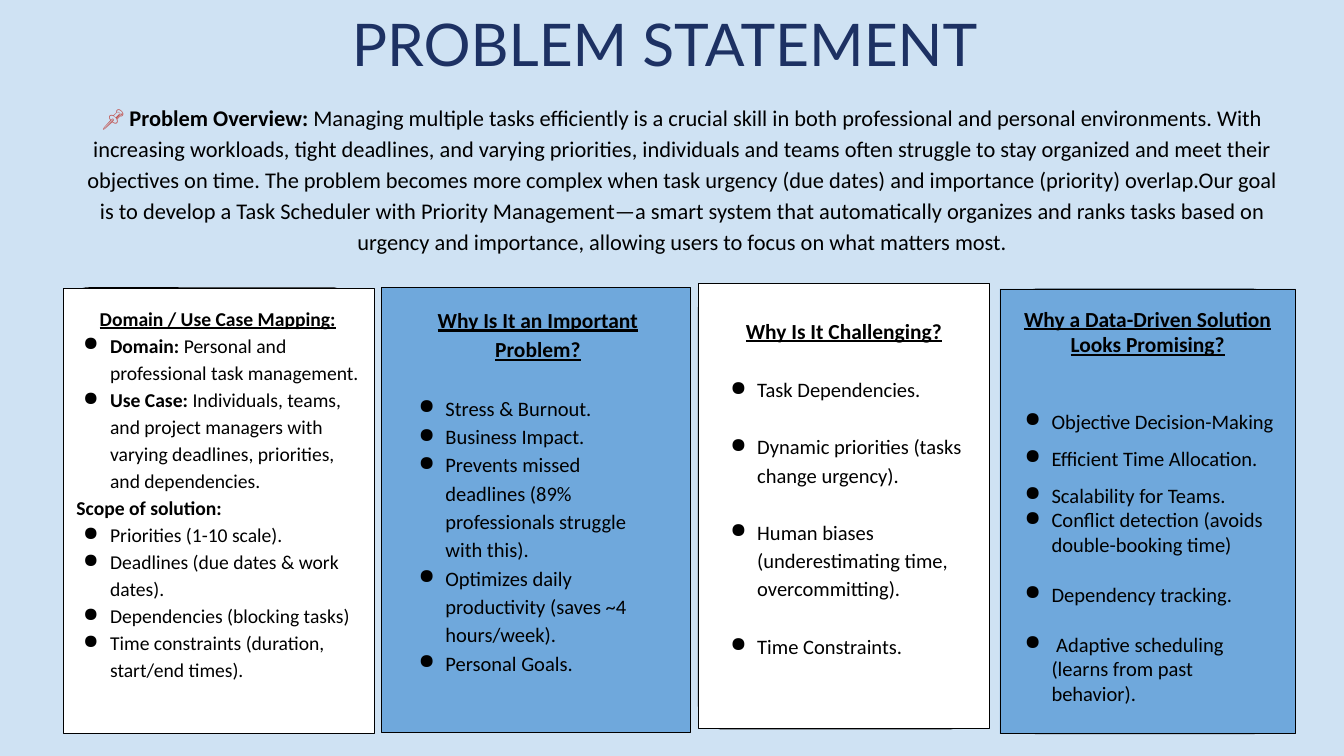
from dataclasses import dataclass

from lxml import etree
from pptx import Presentation
from pptx.dml.color import RGBColor
from pptx.enum import shapes, text
from pptx.oxml.ns import qn
from pptx.util import Inches, Pt

PALE_BLUE = RGBColor(0xCF, 0xE2, 0xF3)
BLUE = RGBColor(0x6F, 0xA8, 0xDC)
NAVY = RGBColor(0x1D, 0x31, 0x63)
RED = RGBColor(0xC0, 0x50, 0x4D)
WHITE = RGBColor(0xFF, 0xFF, 0xFF)
BLACK = RGBColor(0, 0, 0)

CARD_HEIGHT = 6.62
CORNER = 0.37
HEADING_SIZE = 23
BODY_SIZE = 22


@dataclass
class Item:
    body: str
    lead: str = ""  # bold opening words
    kind: str = "bullet"  # bullet, continued, plain or heading
    before: float = 0
    spacing: float = 1.15


@dataclass
class Card:
    box: tuple[float, float, float]  # left, top, width
    back: tuple[float, float, float]
    text_box: tuple[float, float, float, float]
    fill: RGBColor
    items: list[Item]
    heading_size: float = HEADING_SIZE
    body_size: float = BODY_SIZE


CARDS = [
    Card((0.95, 4.29, 4.62), (0.95, 4.28, 4.35), (1.04, 4.41, 4.4, 6.43), WHITE, [
        Item("", "Domain / Use Case Mapping:", "heading"),
        Item(" Personal and professional task management.", "Domain:"),
        Item("Individuals, teams, and project managers with varying deadlines, "
             "priorities, and dependencies.", "Use Case: "),
        Item("", "Scope of solution:", "plain"),
        Item("Priorities (1-10 scale)."),
        Item("Deadlines (due dates & work dates)."),
        Item("Dependencies (blocking tasks)"),
        Item("Time constraints (duration, start/end times)."),
    ], 21, 21),
    Card((5.68, 4.28, 4.6), (5.88, 4.28, 4.11), (6.03, 4.41, 3.95, 6.24), BLUE, [
        Item("", "Why Is It an Important Problem?", "heading"),
        Item("Stress & Burnout.", before=32),
        Item("Business Impact."),
        Item("Prevents missed deadlines (89% professionals struggle with this)."),
        Item("Optimizes daily productivity (saves ~4 hours/week)."),
        Item("Personal Goals."),
    ]),
    Card((10.39, 4.22, 4.34), (10.39, 4.23, 4.09), (10.67, 4.57, 3.78, 5.83), WHITE, [
        Item("", "Why Is It Challenging?", "heading"),
        Item("Task Dependencies.", before=32),
        Item("Dynamic priorities (tasks change urgency).", before=31),
        Item("Human biases (underestimating time,", before=31),
        Item("overcommitting).", kind="continued"),
        Item("Time Constraints.", before=31),
    ]),
    Card((14.88, 4.3, 4.4), (15.07, 4.3, 3.93), (15.05, 4.45, 4.06, 6.24), BLUE, [
        Item("", "Why a Data-Driven Solution Looks Promising?", "heading", spacing=1.0),
        Item("Objective Decision-Making", before=42, spacing=1.5),
        Item("Efficient Time Allocation.", spacing=1.5),
        Item("Scalability for Teams.", spacing=1.5),
        Item("Conflict detection (avoids double-booking time)", spacing=1.0),
        Item("Dependency tracking.", before=27, spacing=1.0),
        Item(" Adaptive scheduling (learns from past behavior).", before=27, spacing=1.0),
    ]),
]

OVERVIEW = (
    "Managing multiple tasks efficiently is a crucial skill in both professional and "
    "personal environments. With increasing workloads, tight deadlines, and varying "
    "priorities, individuals and teams often struggle to stay organized and meet their "
    "objectives on time. The problem becomes more complex when task urgency (due dates) "
    "and importance (priority) overlap.Our goal is to develop a Task Scheduler with "
    "Priority Management—a smart system that automatically organizes and ranks tasks "
    "based on urgency and importance, allowing users to focus on what matters most."
)


def add_run(p, words: str, size: float, color: RGBColor = BLACK, name: str = "Calibri",
            bold: bool = False, underline: bool = False) -> None:
    r = p.add_run()
    r.text = words
    formats = {"name": name, "size": Pt(size), "bold": bold, "underline": underline}
    for key, value in formats.items():
        setattr(r.font, key, value)
    r.font.color.rgb = color


def set_indent(p, bulleted: bool) -> None:
    pPr = p._p.get_or_add_pPr()
    pPr.set("marL", str(Inches(0.5)))
    pPr.set("indent", str(Inches(-0.4) if bulleted else 0))
    if bulleted:
        color = etree.SubElement(pPr, qn("a:buClr"))
        etree.SubElement(color, qn("a:srgbClr"), val=str(BLACK))
        etree.SubElement(pPr, qn("a:buChar"), char="●")


def set_frame(tf, margin: float) -> None:
    formats = {"word_wrap": True, "auto_size": text.MSO_AUTO_SIZE.NONE,
               "vertical_anchor": text.MSO_ANCHOR.TOP}
    sides = ("left", "top", "right", "bottom")
    formats |= {f"margin_{side}": Inches(margin) for side in sides}
    for key, value in formats.items():
        setattr(tf, key, value)


def add_text_box(s, box: tuple[float, float, float, float]):
    tf = s.shapes.add_textbox(*map(Inches, box)).text_frame
    set_frame(tf, 0.1)
    return tf


def add_panel(s, kind, box: tuple[float, float, float], fill: RGBColor):
    sp = s.shapes.add_shape(kind, *map(Inches, (*box, CARD_HEIGHT)))
    sp.shadow.inherit = False
    sp.fill.solid()
    sp.fill.fore_color.rgb = fill
    sp.line.color.rgb = BLACK
    sp.line.width = Pt(0.75)
    return sp


def add_card(s, card: Card) -> None:
    back = add_panel(s, shapes.MSO_SHAPE.ROUNDED_RECTANGLE, card.back, card.fill)
    back.adjustments[0] = CORNER / card.back[2]
    add_panel(s, shapes.MSO_SHAPE.RECTANGLE, card.box, card.fill)
    tf = add_text_box(s, card.text_box)
    for i, item in enumerate(card.items):
        p = tf.add_paragraph() if i else tf.paragraphs[0]
        heading = item.kind == "heading"
        if item.kind in ("bullet", "continued"):
            set_indent(p, item.kind == "bullet")
        p.alignment = text.PP_ALIGN.CENTER if heading else text.PP_ALIGN.LEFT
        p.line_spacing = item.spacing
        if item.before:
            p.space_before = Pt(item.before)
        size = card.heading_size if heading else card.body_size
        if item.lead:
            add_run(p, item.lead, size, bold=True, underline=heading)
        if item.body:
            add_run(p, item.body, size)


def add_title(s) -> None:
    title = s.shapes.title
    title.left, title.top, title.width, title.height = map(Inches, (3.09, 0.24, 13.6, 0.95))
    set_frame(title.text_frame, 0)
    p = title.text_frame.paragraphs[0]
    p.alignment = text.PP_ALIGN.CENTER
    p.line_spacing = 0.9
    add_run(p, "PROBLEM STATEMENT", 63, NAVY, "Lato")


def add_overview(s) -> None:
    p = add_text_box(s, (1.18, 1.39, 17.94, 2.63)).paragraphs[0]
    p.alignment = text.PP_ALIGN.CENTER
    p.line_spacing = 1.15
    add_run(p, "📌", 24, RED, bold=True)
    add_run(p, " Problem Overview: ", 24, bold=True)
    add_run(p, OVERVIEW, 24)


def main() -> None:
    prs = Presentation()
    prs.slide_width, prs.slide_height = Inches(20), Inches(11.25)
    s = prs.slides.add_slide(prs.slide_layouts[5])
    s.background.fill.solid()
    s.background.fill.fore_color.rgb = PALE_BLUE
    add_title(s)
    for card in CARDS:
        add_card(s, card)
    add_overview(s)
    prs.save("out.pptx")


if __name__ == "__main__":
    main()
